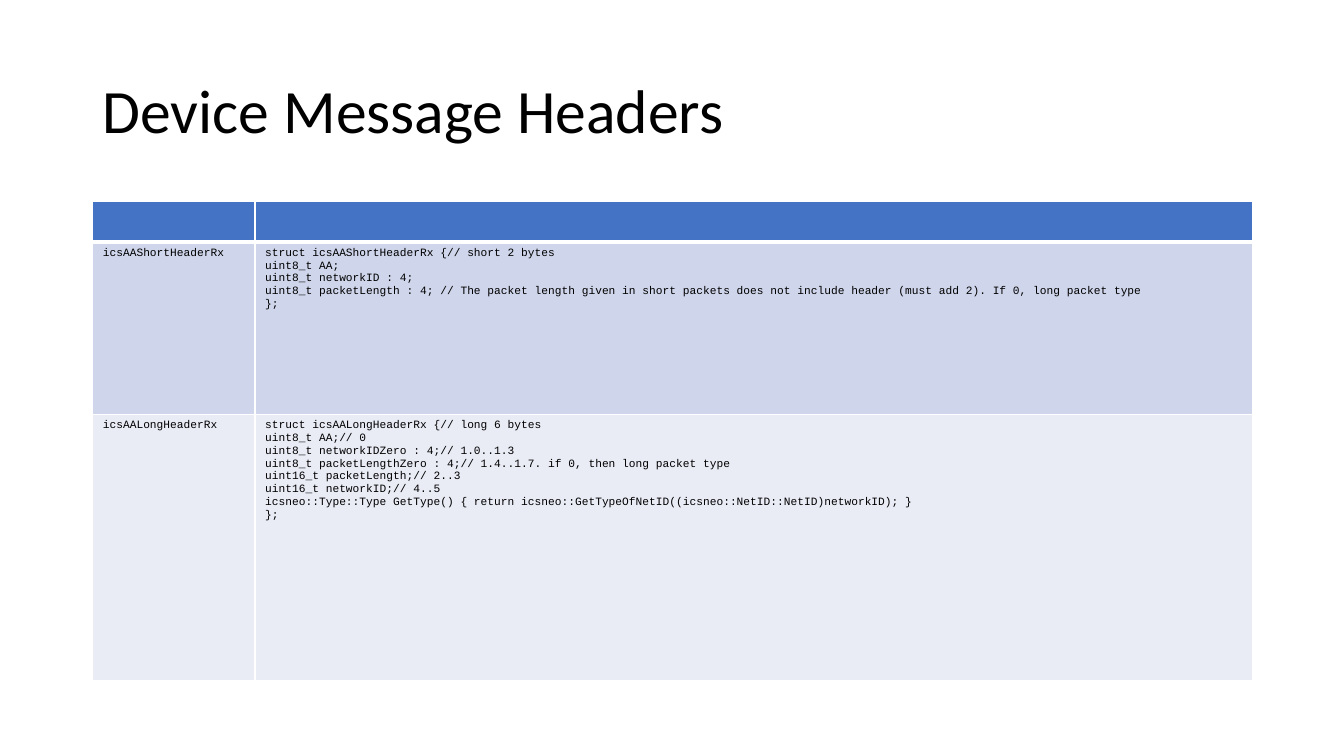
from pptx import Presentation
from pptx.dml.color import RGBColor
from pptx.enum.text import MSO_ANCHOR
from pptx.oxml import parse_xml
from pptx.oxml.ns import nsdecls
from pptx.util import Inches, Pt

HEADER_FILL = "4472C4"
COLUMN_WIDTHS = [1.61, 9.89]
ROW_HEIGHTS = [0.4, 1.71, 2.64]
HEADERS = [
    ("icsAAShortHeaderRx", "CFD5EA", [
        "struct icsAAShortHeaderRx {// short 2 bytes",
        "uint8_t AA;",
        "uint8_t networkID : 4;",
        "uint8_t packetLength : 4; // The packet length given in short packets "
        "does not include header (must add 2). If 0, long packet type",
        "};",
    ]),
    ("icsAALongHeaderRx", "E9EBF5", [
        "struct icsAALongHeaderRx {// long 6 bytes",
        "uint8_t AA;// 0",
        "uint8_t networkIDZero : 4;// 1.0..1.3",
        "uint8_t packetLengthZero : 4;// 1.4..1.7. if 0, then long packet type",
        "uint16_t packetLength;// 2..3",
        "uint16_t networkID;// 4..5",
        "icsneo::Type::Type GetType() { return "
        "icsneo::GetTypeOfNetID((icsneo::NetID::NetID)networkID); }",
        "};",
    ]),
]


def add_run(paragraph, text, font_name, size, color="000000"):
    run = paragraph.add_run()
    run.text = text
    run.font.name = font_name
    run.font.size = Pt(size)
    run.font.color.rgb = RGBColor.from_string(color)


def style_cell(cell, fill, top=1, bottom=1):
    """Fill the cell and give it white borders; top and bottom widths in points."""
    properties = cell._tc.get_or_add_tcPr()
    for side, width in (("L", 1), ("R", 1), ("T", top), ("B", bottom)):
        properties.append(parse_xml(
            f'<a:ln{side} {nsdecls("a")} w="{Pt(width)}"><a:solidFill>'
            f'<a:srgbClr val="FFFFFF"/></a:solidFill></a:ln{side}>'))
    cell.fill.solid()
    cell.fill.fore_color.rgb = RGBColor.from_string(fill)


prs = Presentation()
prs.slide_width, prs.slide_height = Inches(13.33), Inches(7.5)
slide = prs.slides.add_slide(prs.slide_layouts[6])

title = slide.shapes.add_textbox(
    Inches(0.92), Inches(0.4), Inches(11.5), Inches(1.45)).text_frame
title.word_wrap = True
title.vertical_anchor = MSO_ANCHOR.MIDDLE
title.paragraphs[0].line_spacing = 0.9
add_run(title.paragraphs[0], "Device Message Headers", "Calibri", 44)

table = slide.shapes.add_table(
    len(ROW_HEIGHTS), len(COLUMN_WIDTHS),
    Inches(0.92), Inches(2), Inches(11.5), Inches(4.75)).table
for column, width in zip(table.columns, COLUMN_WIDTHS):
    column.width = Inches(width)
for row, height in zip(table.rows, ROW_HEIGHTS):
    row.height = Inches(height)

for cell in table.rows[0].cells:
    style_cell(cell, HEADER_FILL, bottom=3)

for row_index, (name, fill, code) in enumerate(HEADERS, start=1):
    for cell, lines in zip(table.rows[row_index].cells, ([name], code)):
        style_cell(cell, fill, top=3 if row_index == 1 else 1)
        for line_index, line in enumerate(lines):
            frame = cell.text_frame
            paragraph = frame.add_paragraph() if line_index else frame.paragraphs[0]
            add_run(paragraph, line, "Courier New", 8)

prs.save("out.pptx")
